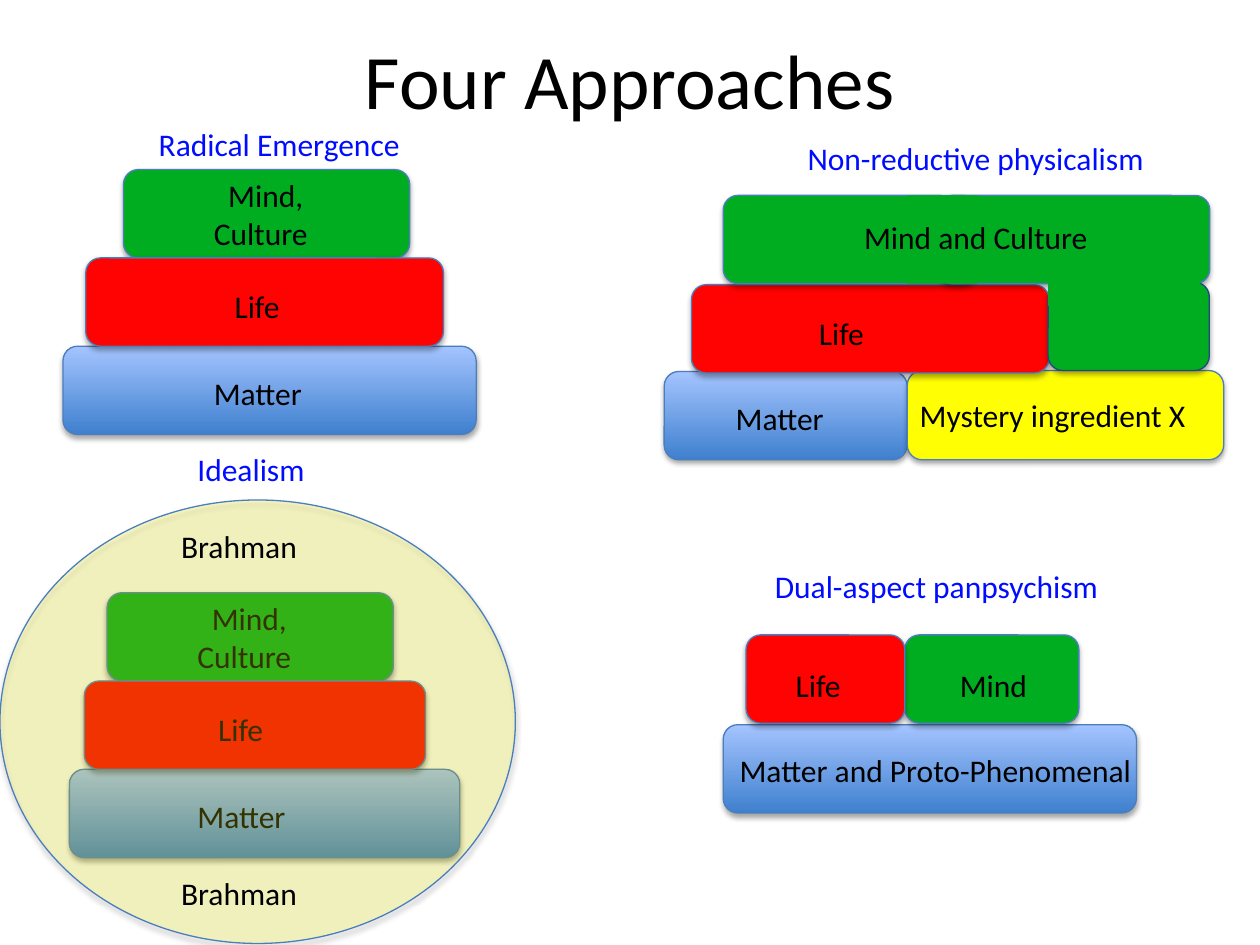
from typing import NamedTuple, Optional

from lxml.etree import SubElement
from pptx import Presentation
from pptx.dml.color import RGBColor
from pptx.enum.shapes import MSO_SHAPE
from pptx.enum.text import MSO_ANCHOR, PP_ALIGN
from pptx.oxml.ns import qn
from pptx.util import Cm, Pt

BLACK = RGBColor(0x00, 0x00, 0x00)
HEADING_BLUE = RGBColor(0x00, 0x0C, 0xFF)
OUTLINE = RGBColor(0x4B, 0x7E, 0xBC)
NAVY = RGBColor(0x1F, 0x49, 0x7D)
GREEN = RGBColor(0x01, 0xAD, 0x20)
RED = RGBColor(0xFF, 0x02, 0x02)
YELLOW = RGBColor(0xFF, 0xFE, 0x03)
BRAHMAN_YELLOW = RGBColor(0xFF, 0xFD, 0x00)
MATTER_DARK = RGBColor(0x3F, 0x80, 0xCE)
MATTER_LIGHT = RGBColor(0xA4, 0xC4, 0xFF)

FONT = "Calibri"
BLOCK_HEIGHT = 1.78
LINE_HEIGHT = 1.02


class Block(NamedTuple):
    """A filled shape in centimetres; no fill colour means the matter gradient."""
    left: float
    top: float
    width: float
    fill: Optional[RGBColor] = None
    height: float = BLOCK_HEIGHT
    line: Optional[RGBColor] = OUTLINE
    kind: MSO_SHAPE = MSO_SHAPE.ROUNDED_RECTANGLE
    opacity: int = 100


class Label(NamedTuple):
    """Text in centimetres; first_indent moves only the first line."""
    text: str
    left: float
    top: float
    width: float
    color: RGBColor = BLACK
    height: float = LINE_HEIGHT
    first_indent: float = 0


class Stack(NamedTuple):
    """Mind on life on matter; each bar is (left, width)."""
    top: float
    label_left: float
    mind: tuple[float, float]
    life: tuple[float, float]
    matter: tuple[float, float]


STACKS = [
    Stack(3.42, 4.06, (2.49, 5.77), (1.73, 7.21), (1.27, 8.33)),
    Stack(11.95, 3.73, (2.16, 5.77), (1.70, 6.88), (1.40, 7.87)),
]

BRAHMAN = Block(0, 10.08, 10.39, BRAHMAN_YELLOW, 8.94,
                kind=MSO_SHAPE.OVAL, opacity=20)

PHYSICALISM_BLOCKS = [
    Block(13.39, 7.49, 4.90),
    Block(18.29, 7.47, 6.38, YELLOW, 1.80),
    Block(13.94, 5.74, 7.21, RED),
    Block(14.58, 3.94, 5.13, GREEN),
    Block(18.90, 3.94, 5.49, GREEN),
    Block(18.29, 3.94, 1.42, GREEN, line=None, kind=MSO_SHAPE.RECTANGLE),
    Block(21.13, 5.69, 3.25, GREEN, line=NAVY),
    Block(21.13, 5.28, 3.07, GREEN, 0.89, None, MSO_SHAPE.RECTANGLE),
]

PANPSYCHISM_BLOCKS = [
    Block(14.58, 14.61, 8.33),
    Block(18.24, 12.80, 3.51, GREEN),
    Block(15.04, 12.80, 3.20, RED),
]

LABELS = [
    Label("Matter", 14.58, 7.92, 2.31),
    Label("Mystery ingredient X", 18.29, 7.85, 5.92),
    Label("Life", 16.26, 6.20, 1.42),
    Label("Mind and Culture", 17.17, 4.27, 5.05),
    Label("Brahman", 3.40, 10.49, 2.87),
    Label("Brahman", 3.40, 17.50, 2.87),
    Label("Matter and Proto-Phenomenal", 14.66, 15.01, 8.48),
    Label("Life", 15.79, 13.31, 1.42),
    Label("Mind", 19.10, 13.31, 1.88),
    Label("Radical Emergence", 2.95, 2.39, 5.41, HEADING_BLUE),
    Label("Dual-aspect panpsychism", 15.37, 11.30, 7.09, HEADING_BLUE),
    Label("Non-reductive physicalism", 16.03, 2.67, 7.37, HEADING_BLUE),
    Label("Idealism", 3.73, 8.94, 2.69, HEADING_BLUE),
]


def add_run(p, text: str, size: int, color: RGBColor) -> None:
    r = p.add_run()
    r.text = text
    r.font.name = FONT
    r.font.size = Pt(size)
    r.font.color.rgb = color


def add_shadow(sp) -> None:
    effects = sp._element.spPr.find(qn("a:effectLst"))
    shadow = SubElement(effects, qn("a:outerShdw"), blurRad=str(Pt(3.1)),
                        dist=str(Pt(1.8)), dir="5400000", rotWithShape="0")
    color = SubElement(shadow, qn("a:srgbClr"), val=str(BLACK))
    SubElement(color, qn("a:alpha"), val="35000")


def draw_block(s, block: Block) -> None:
    sp = s.shapes.add_shape(block.kind, Cm(block.left), Cm(block.top),
                            Cm(block.width), Cm(block.height))
    sp.shadow.inherit = False
    if block.fill is None:
        sp.fill.gradient()
        sp.fill.gradient_angle = 90
        for stop, color in zip(sp.fill.gradient_stops, (MATTER_DARK, MATTER_LIGHT)):
            stop.color.rgb = color
    else:
        sp.fill.solid()
        sp.fill.fore_color.rgb = block.fill
    if block.opacity < 100:
        color = sp._element.spPr.find(qn("a:solidFill")).find(qn("a:srgbClr"))
        SubElement(color, qn("a:alpha"), val=str(block.opacity * 1000))
    if block.line is None:
        sp.line.fill.background()
    else:
        sp.line.color.rgb = block.line
        sp.line.width = Pt(0.75)
        add_shadow(sp)


def draw_label(s, label: Label) -> None:
    sp = s.shapes.add_textbox(Cm(label.left), Cm(label.top),
                              Cm(label.width), Cm(label.height))
    tf = sp.text_frame
    tf.word_wrap = False
    for i, line in enumerate(label.text.split("\n")):
        p = tf.add_paragraph() if i else tf.paragraphs[0]
        if i == 0 and label.first_indent:
            p._p.get_or_add_pPr().set("marL", str(Cm(label.first_indent)))
        add_run(p, line, 18, label.color)


def draw_stack(s, stack: Stack) -> None:
    top, left = stack.top, stack.label_left
    for (bar_left, width), level, fill in (
            (stack.matter, 2, None), (stack.mind, 0, GREEN), (stack.life, 1, RED)):
        draw_block(s, Block(bar_left, top + level * BLOCK_HEIGHT, width, fill))
    draw_label(s, Label("Matter", left, top + 3.99, 2.31))
    draw_label(s, Label("Life", left + 0.42, top + 2.24, 1.42))
    draw_label(s, Label("Mind,\nCulture", left, top, 2.41,
                        height=1.80, first_indent=0.29))


def draw_title(s) -> None:
    sp = s.shapes.add_textbox(Cm(1.27), Cm(0), Cm(22.86), Cm(3.18))
    tf = sp.text_frame
    tf.word_wrap = True
    tf.vertical_anchor = MSO_ANCHOR.MIDDLE
    p = tf.paragraphs[0]
    p.alignment = PP_ALIGN.CENTER
    add_run(p, "Four Approaches", 44, BLACK)


def main() -> None:
    prs = Presentation()
    prs.slide_width, prs.slide_height = Cm(25.4), Cm(19.05)
    s = prs.slides.add_slide(prs.slide_layouts[6])
    draw_title(s)
    for stack in STACKS:
        draw_stack(s, stack)
    for block in [*PHYSICALISM_BLOCKS, BRAHMAN, *PANPSYCHISM_BLOCKS]:
        draw_block(s, block)
    for label in LABELS:
        draw_label(s, label)
    prs.save("out.pptx")


if __name__ == "__main__":
    main()
